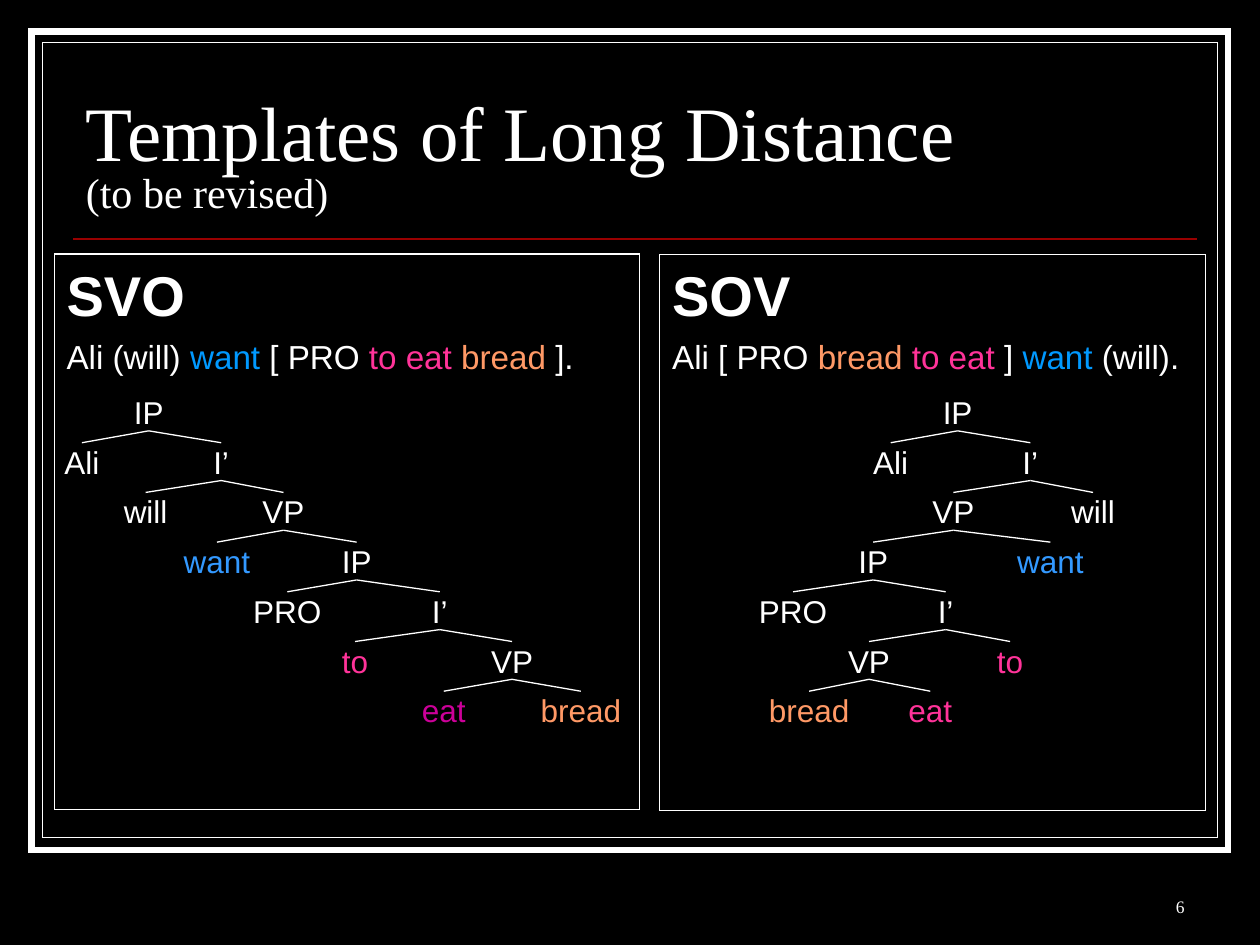
from lxml.etree import SubElement
from pptx import Presentation
from pptx.dml.color import RGBColor
from pptx.enum.shapes import MSO_CONNECTOR, MSO_SHAPE
from pptx.enum.text import MSO_ANCHOR, MSO_AUTO_SIZE, PP_ALIGN
from pptx.oxml.ns import qn
from pptx.util import Pt

COLORS = {
    "black": "000000", "white": "FFFFFF", "rule": "990000",
    "verb": "0099FF", "want": "3399FF", "pink": "FF3399",
    "magenta": "CC0099", "orange": "FF9966",
}
SERIF, SANS = "Times New Roman", "Arial"

# Tree labels: box width by word, and the vertical rhythm of the levels
WIDTHS = {"IP": 18, "I’": 11, "VP": 26, "Ali": 22, "will": 27,
          "want": 40, "PRO": 41, "to": 17, "eat": 27, "bread": 48}
TREE_TOP, LEVEL, LABEL_H = 224.6, 28.4, 21.6

# Sentences: (text, colour)
SVO = [("Ali (will) ", "white"), ("want", "verb"), (" [ PRO ", "white"),
       ("to eat ", "pink"), ("bread ", "orange"), ("].", "white")]
SOV = [("Ali [ PRO ", "white"), ("bread ", "orange"), ("to eat ", "pink"),
       ("] ", "white"), ("want ", "verb"), ("(will).", "white")]


def node(label, x, *children, color="white"):
    """A tree node centred at x."""
    return label, x, color, children


SVO_TREE = node(
    "IP", 85, node("Ali", 46.8), node(
        "I’", 126.4, node("will", 83.2), node(
            "VP", 162, node("want", 124, color="want"), node(
                "IP", 203.8, node("PRO", 164.2), node(
                    "I’", 251.3, node("to", 202.9, color="pink"), node(
                        "VP", 292.6, node("eat", 253.6, color="magenta"),
                        node("bread", 331.9, color="orange")))))))
SOV_TREE = node(
    "IP", 547.2, node("Ali", 509), node(
        "I’", 588.8, node(
            "VP", 544.8, node(
                "IP", 499, node("PRO", 453.2), node(
                    "I’", 540.4, node(
                        "VP", 496.6, node("bread", 462.4, color="orange"),
                        node("eat", 531.6, color="pink")),
                    node("to", 577.2, color="pink"))),
            node("want", 600.2, color="want")),
        node("will", 624.6)))


def rgb(name):
    return RGBColor.from_string(COLORS[name])


def add_run(p, text, *, size, font=SANS, color="white", bold=False):
    r = p.add_run()
    r.text = text
    r.font.size, r.font.name, r.font.bold = Pt(size), font, bold
    r.font.color.rgb = rgb(color)


def set_frame(sp, anchor, margins=(7.2, 3.6), wrap=True):
    tf = sp.text_frame
    tf.word_wrap, tf.vertical_anchor = wrap, anchor
    if not wrap:
        tf.auto_size = MSO_AUTO_SIZE.SHAPE_TO_FIT_TEXT
    tf.margin_left = tf.margin_right = Pt(margins[0])
    tf.margin_top = tf.margin_bottom = Pt(margins[1])
    return tf


def add_text(shapes, box, text, *, anchor=MSO_ANCHOR.BOTTOM,
             align=PP_ALIGN.LEFT, margins=(7.2, 3.6), wrap=True, **style):
    sp = shapes.add_textbox(*map(Pt, box))
    p = set_frame(sp, anchor, margins, wrap).paragraphs[0]
    p.alignment = align
    add_run(p, text, **style)
    return p


def add_rect(shapes, box, weight, fill=None):
    sp = shapes.add_shape(MSO_SHAPE.RECTANGLE, *map(Pt, box))
    sp.shadow.inherit = False
    if fill:
        sp.fill.solid()
        sp.fill.fore_color.rgb = rgb(fill)
    else:
        sp.fill.background()
    sp.line.color.rgb, sp.line.width = rgb("white"), Pt(weight)
    # Square corners
    SubElement(sp.line._get_or_add_ln(), qn("a:miter"), lim="800000")
    return sp


def add_line(shapes, start, end, color="white", weight=0.75):
    line = shapes.add_connector(MSO_CONNECTOR.STRAIGHT, *map(Pt, start + end))
    line.line.color.rgb, line.line.width = rgb(color), Pt(weight)
    SubElement(line._element.spPr, qn("a:effectLst"))


def add_panel(shapes, box, heading, sentence):
    tf = set_frame(add_rect(shapes, box, 0.75), MSO_ANCHOR.TOP)
    first, second = tf.paragraphs[0], tf.add_paragraph()
    for p, before in ((first, 8), (second, 4.8)):
        p.alignment, p.space_before = PP_ALIGN.LEFT, Pt(before)
        pPr = p._p.get_or_add_pPr()
        pPr.set("marL", str(Pt(27)))
        pPr.set("indent", str(Pt(-27)))
    add_run(first, heading, size=32, bold=True)
    for text, color in sentence:
        add_run(second, text, size=19, color=color)


def add_tree(shapes, tree, depth=0):
    """Draw a node, its branches and, one level lower, its children."""
    label, x, color, children = tree
    top = TREE_TOP + depth * LEVEL
    width = WIDTHS[label]
    add_text(shapes, (x - width / 2, top, width, LABEL_H), label,
             anchor=MSO_ANCHOR.MIDDLE, align=PP_ALIGN.CENTER,
             margins=(0, 0), wrap=False, size=18, color=color)
    for child in children:
        add_line(shapes, (x, top + LABEL_H), (child[1], top + LEVEL))
        add_tree(shapes, child, depth + 1)


def main():
    prs = Presentation()
    prs.slide_width, prs.slide_height = Pt(720), Pt(540)
    s = prs.slides.add_slide(prs.slide_layouts[6])
    s.background.fill.solid()
    s.background.fill.fore_color.rgb = rgb("black")
    shapes = s.shapes

    # Double frame and title rule
    add_rect(shapes, (18, 18, 684, 468), 3.5, "black")
    add_rect(shapes, (24.2, 24.2, 671.6, 454.4), 0.75, "black")
    add_line(shapes, (42, 136.5), (684, 136.5), "rule", 1)

    # Title
    p = add_text(shapes, (42, 37.5, 642, 90), "Templates of Long Distance ",
                 size=44, font=SERIF)
    p.line_spacing = 0.8
    p.add_line_break()
    add_run(p, "(to be revised)", size=24, font=SERIF)

    # Word order panels, each with its tree
    add_panel(shapes, (31, 145.2, 334.6, 317.5), "SVO", SVO)
    add_panel(shapes, (377, 145.4, 312, 317.8), "SOV", SOV)
    for tree in (SVO_TREE, SOV_TREE):
        add_tree(shapes.add_group_shape().shapes, tree)

    # Slide number
    add_text(shapes, (534, 491.5, 150, 36), "6", align=PP_ALIGN.RIGHT,
             size=10, font=SERIF)
    prs.save("out.pptx")


if __name__ == "__main__":
    main()
